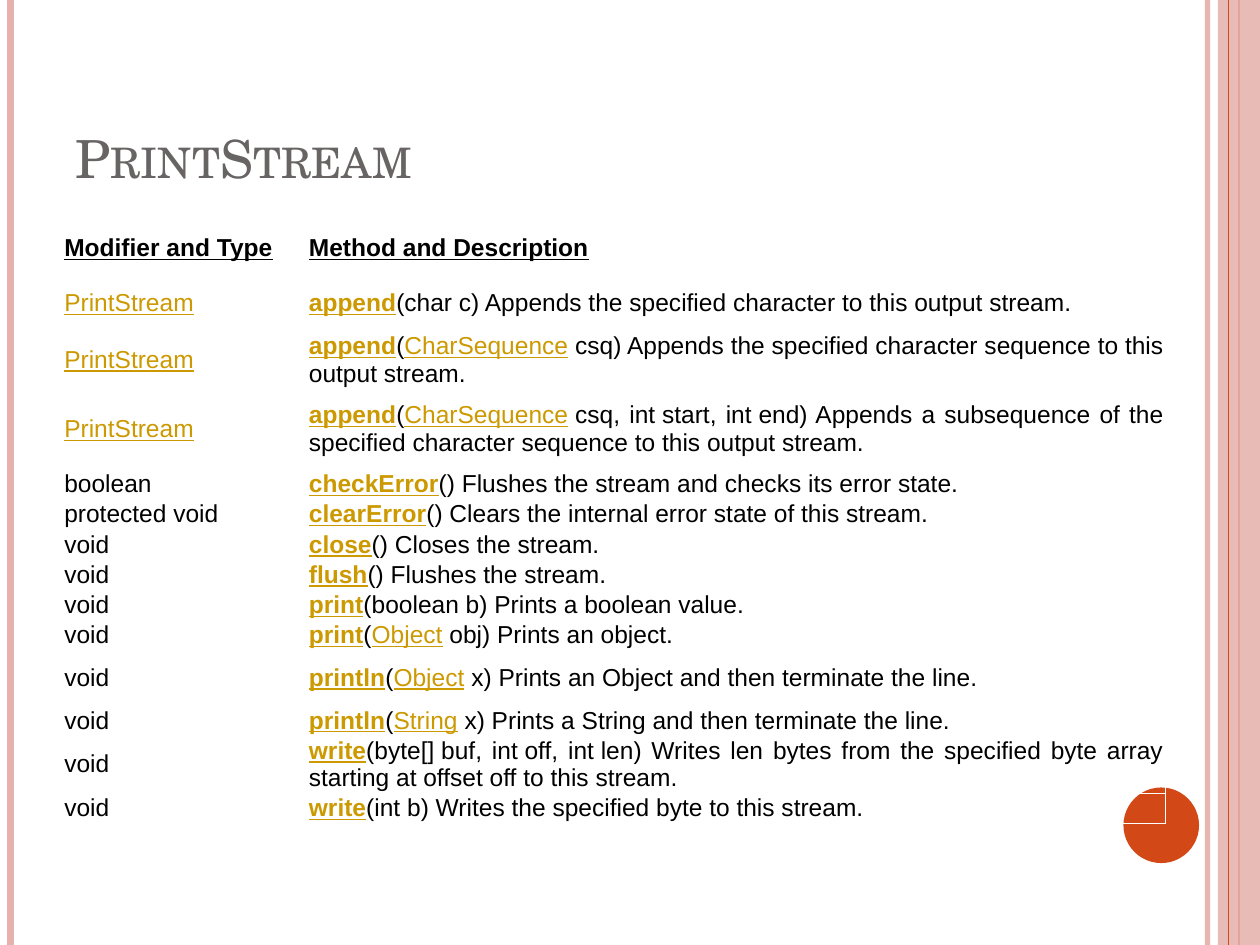
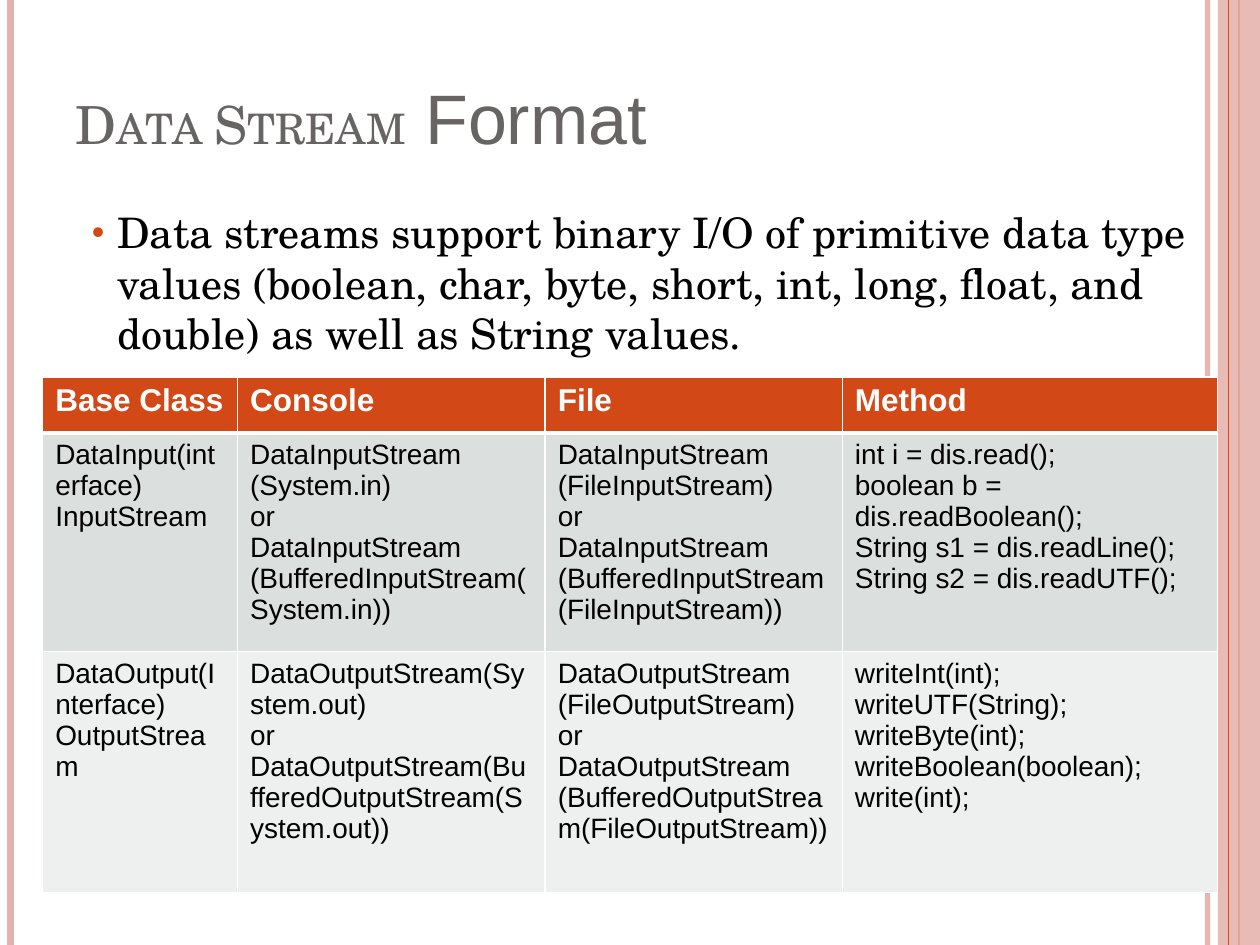
from lxml.etree import SubElement
from pptx import Presentation
from pptx.dml.color import RGBColor
from pptx.enum.shapes import MSO_CONNECTOR as CONN, MSO_SHAPE as SHAPE
from pptx.enum.text import MSO_ANCHOR as ANCHOR, MSO_AUTO_SIZE as FIT, PP_ALIGN as ALIGN
from pptx.oxml.ns import qn
from pptx.util import Pt

WIDTH, HEIGHT = 720, 540
SERIF, SANS = "TeX Gyre Schola", "Arial"
ORANGE, PINK, GRAY, GOLD = "D34817", "E6B1AC", "696464", "CC9900"
BLACK, WHITE = "000000", "FFFFFF"
BAND_FILLS = "DBDFDD", "EEF0EF"
NBSP = chr(160)
TITLE_ONLY, TITLE_BODY = 5, 1


def rgb(color):
    return RGBColor.from_string(color)


def add_text(p, text, size=14, font=SANS, color=BLACK, bold=False, underline=False, small=False):
    r = p.add_run()
    r.text = text
    f = r.font
    f.size, f.name, f.bold, f.underline = Pt(size), font, bold, underline
    f.color.rgb = rgb(color)
    if small:
        r._r.get_or_add_rPr().set("cap", "small")


def add_alpha(parent, percent):
    """Make the solid colour inside parent partly transparent."""
    clr = next(parent.iter(qn("a:srgbClr")))
    SubElement(clr, qn("a:alpha"), val=str(percent * 1000))


def add_borders(cell, bottom=1):
    tc_pr = cell._tc.get_or_add_tcPr()
    for side, width in zip("LRTB", (1, 1, 1, bottom)):
        ln = SubElement(tc_pr, qn(f"a:ln{side}"), w=str(Pt(width)))
        SubElement(SubElement(ln, qn("a:solidFill")), qn("a:srgbClr"), val=WHITE)


def add_bullet(p, color, percent, indent):
    p_pr = p._p.get_or_add_pPr()
    p_pr.set("marL", str(Pt(indent)))
    p_pr.set("indent", str(-Pt(indent)))
    SubElement(SubElement(p_pr, qn("a:buClr")), qn("a:srgbClr"), val=color)
    SubElement(p_pr, qn("a:buSzPct"), val=str(percent * 1000))
    SubElement(p_pr, qn("a:buFont"), typeface=SANS)
    SubElement(p_pr, qn("a:buChar"), char="•")


class Deck:
    """The presentation, its style and the slide being built."""

    def __init__(self):
        self.prs = Presentation()
        self.prs.slide_width, self.prs.slide_height = Pt(WIDTH), Pt(HEIGHT)
        self.s = None

    def slide(self, layout):
        self.s = self.prs.slides.add_slide(self.prs.slide_layouts[layout])

    def rule(self, x, color, width, alpha=None):
        """Draw a vertical line over the full slide height."""
        line = self.s.shapes.add_connector(CONN.STRAIGHT, Pt(x), 0, Pt(x), Pt(HEIGHT))
        line.line.color.rgb, line.line.width = rgb(color), Pt(width)
        if alpha:
            add_alpha(line._element.spPr, alpha)
        SubElement(line._element.spPr, qn("a:effectLst"))
        return line

    def shape(self, kind, x, y, w, h, color, alpha=None):
        sp = self.s.shapes.add_shape(kind, Pt(x), Pt(y), Pt(w), Pt(h))
        sp.shadow.inherit = False
        sp.fill.solid()
        sp.fill.fore_color.rgb = rgb(color)
        sp.line.fill.background()
        if alpha:
            add_alpha(sp._element.spPr, alpha)
        return sp

    def frame(self):
        """Draw the side bands and the dot, then move them to the master."""
        parts = [
            self.rule(690, PINK, 3, alpha=93),
            self.rule(6, PINK, 4.5),
            self.rule(708, ORANGE, 1.5),
            self.shape(SHAPE.RECTANGLE, 696, 0, 24, HEIGHT, PINK, alpha=87),
            self.rule(702, ORANGE, 0.75),
            self.shape(SHAPE.OVAL, 642, 450, 43.2, 43.2, ORANGE),
        ]
        tree = self.prs.slide_master.shapes.element
        for i, part in enumerate(parts):
            el = part.element
            el.xpath(".//p:cNvPr")[0].set("id", str(100 + i))
            tree.insert(2 + i, el)

    def placeholder(self, sp, x, y, w, h, anchor):
        """Place and reset a placeholder; return its first paragraph."""
        sp.left, sp.top, sp.width, sp.height = Pt(x), Pt(y), Pt(w), Pt(h)
        tf = sp.text_frame
        tf.word_wrap, tf.auto_size, tf.vertical_anchor = True, FIT.NONE, anchor
        p = tf.paragraphs[0]
        p.alignment, p.space_before = ALIGN.LEFT, Pt(0)
        return p

    def title(self, text, anchor, suffix=""):
        p = self.placeholder(self.s.shapes.title, 36, 21.6, 588, 90, anchor)
        add_text(p, text, size=30, font=SERIF, color=GRAY, small=True)
        if suffix:
            add_text(p, suffix, size=40, color=GRAY)

    def bullet(self, text):
        p = self.placeholder(self.s.placeholders[1], 45.36, 114.5, 648, 384, ANCHOR.TOP)
        add_bullet(p, ORANGE, 85, 14.4)
        add_text(p, text, size=24, font=SERIF)

    def table(self, x, y, cols, rows):
        """Add a plain table with the given column widths and row heights."""
        tbl = self.s.shapes.add_table(len(rows), len(cols), Pt(x), Pt(y),
                                      Pt(sum(cols)), Pt(sum(rows))).table
        tbl.first_row = tbl.horz_banding = False
        for col, w in zip(tbl.columns, cols):
            col.width = Pt(w)
        for row, h in zip(tbl.rows, rows):
            row.height = Pt(h)
        return tbl

    def method_table(self, x, y, cols, header, methods):
        tbl = self.table(x, y, cols, [TALL] + [m[0] for m in methods])
        for cell in tbl.iter_cells():
            cell.fill.background()
            cell.vertical_anchor = ANCHOR.MIDDLE
            cell.margin_left = cell.margin_right = Pt(0.75)
            cell.margin_top = cell.margin_bottom = Pt(0.75)
            cell.text_frame.paragraphs[0].alignment = ALIGN.JUSTIFY
        lines = [[cell.text_frame.paragraphs[0] for cell in row.cells] for row in tbl.rows]
        for p, text in zip(lines[0], header):
            add_text(p, text, bold=True, underline=True)
        link = dict(color=GOLD, underline=True)
        for (left, right), (_, result, name, param, rest) in zip(lines[1:], methods):
            add_text(left, result, **(link if result == "PrintStream" else {}))
            add_text(right, name, bold=True, **link)
            rest = rest.replace("~", NBSP)
            if param:
                add_text(right, "(")
                add_text(right, param, **link)
                add_text(right, rest)
            else:
                add_text(right, "(" + rest)

    def class_table(self, x, y, cols, heights, rows):
        """Fill a table with a coloured header; each line of a cell is a paragraph."""
        tbl = self.table(x, y, cols, heights)
        for i, row in enumerate(rows):
            head = i == 0
            fmt = dict(size=18, color=WHITE, bold=True) if head else dict(size=16)
            for cell, text in zip(tbl.rows[i].cells, row):
                add_borders(cell, bottom=3 if head else 1)
                cell.fill.solid()
                cell.fill.fore_color.rgb = rgb(ORANGE if head else BAND_FILLS[i - 1])
                tf = cell.text_frame
                for n, line in enumerate(text.split("\n")):
                    add_text(tf.add_paragraph() if n else tf.paragraphs[0], line, **fmt)


# Row height, result type, method, linked parameter type, rest ("~" is a no-break space)
LOW, TALL, TALLEST = 16.8, 31.6, 46
METHODS = [
    (TALL, "PrintStream", "append", "",
     "char~c) Appends the specified character to this output stream."),
    (TALL, "PrintStream", "append", "CharSequence",
     "~csq) Appends the specified character sequence to this output stream."),
    (TALLEST, "PrintStream", "append", "CharSequence",
     "~csq, int~start, int~end) Appends a subsequence of the specified character "
     "sequence to this output stream."),
    (LOW, "boolean", "checkError", "", ") Flushes the stream and checks its error state."),
    (LOW, "protected void", "clearError", "",
     ") Clears the internal error state of this stream."),
    (LOW, "void", "close", "", ") Closes the stream."),
    (LOW, "void", "flush", "", ") Flushes the stream."),
    (LOW, "void", "print", "", "boolean~b) Prints a boolean value."),
    (LOW, "void", "print", "Object", "~obj) Prints an object."),
    (TALL, "void", "println", "Object", "~x) Prints an Object and then terminate the line."),
    (LOW, "void", "println", "String", "~x) Prints a String and then terminate the line."),
    (TALL, "void", "write", "",
     "byte[]~buf, int~off, int~len) Writes len bytes from the specified byte array "
     "starting at offset off to this stream."),
    (LOW, "void", "write", "", "int~b) Writes the specified byte to this stream."),
]

CLASSES = [
    ("Base Class", "Console", "File", "Method"),
    ("DataInput(interface)\nInputStream",
     "DataInputStream\n(System.in)\nor\nDataInputStream\n(BufferedInputStream(System.in))",
     "DataInputStream\n(FileInputStream)\nor\nDataInputStream\n"
     "(BufferedInputStream(FileInputStream))",
     "int i = dis.read();\nboolean b = dis.readBoolean();\n"
     "String s1 = dis.readLine();\nString s2 = dis.readUTF();"),
    ("DataOutput(Interface)\nOutputStream",
     "DataOutputStream(System.out)\nor\nDataOutputStream(BufferedOutputStream(System.out))",
     "DataOutputStream\n(FileOutputStream)\nor\nDataOutputStream\n"
     "(BufferedOutputStream(FileOutputStream))",
     "writeInt(int);\nwriteUTF(String);\nwriteByte(int);\nwriteBoolean(boolean);\nwrite(int);"),
]


def main():
    deck = Deck()

    deck.slide(TITLE_ONLY)
    deck.frame()
    deck.title("PrintStream", ANCHOR.BOTTOM)
    deck.method_table(36, 126, (139.8, 490.2),
                      ("Modifier and Type", "Method and Description"), METHODS)

    deck.slide(TITLE_BODY)
    deck.title("Data Stream", ANCHOR.MIDDLE, suffix=" Format")
    deck.bullet("Data streams support binary I/O of primitive data type values (boolean, "
                "char, byte, short, int, long, float, and double) as well as String values.")
    deck.class_table(24.4, 215.4, (111.4, 175.8, 169.8, 214.4), (32, 125, 137.6), CLASSES)

    deck.prs.save("out.pptx")


if __name__ == "__main__":
    main()
